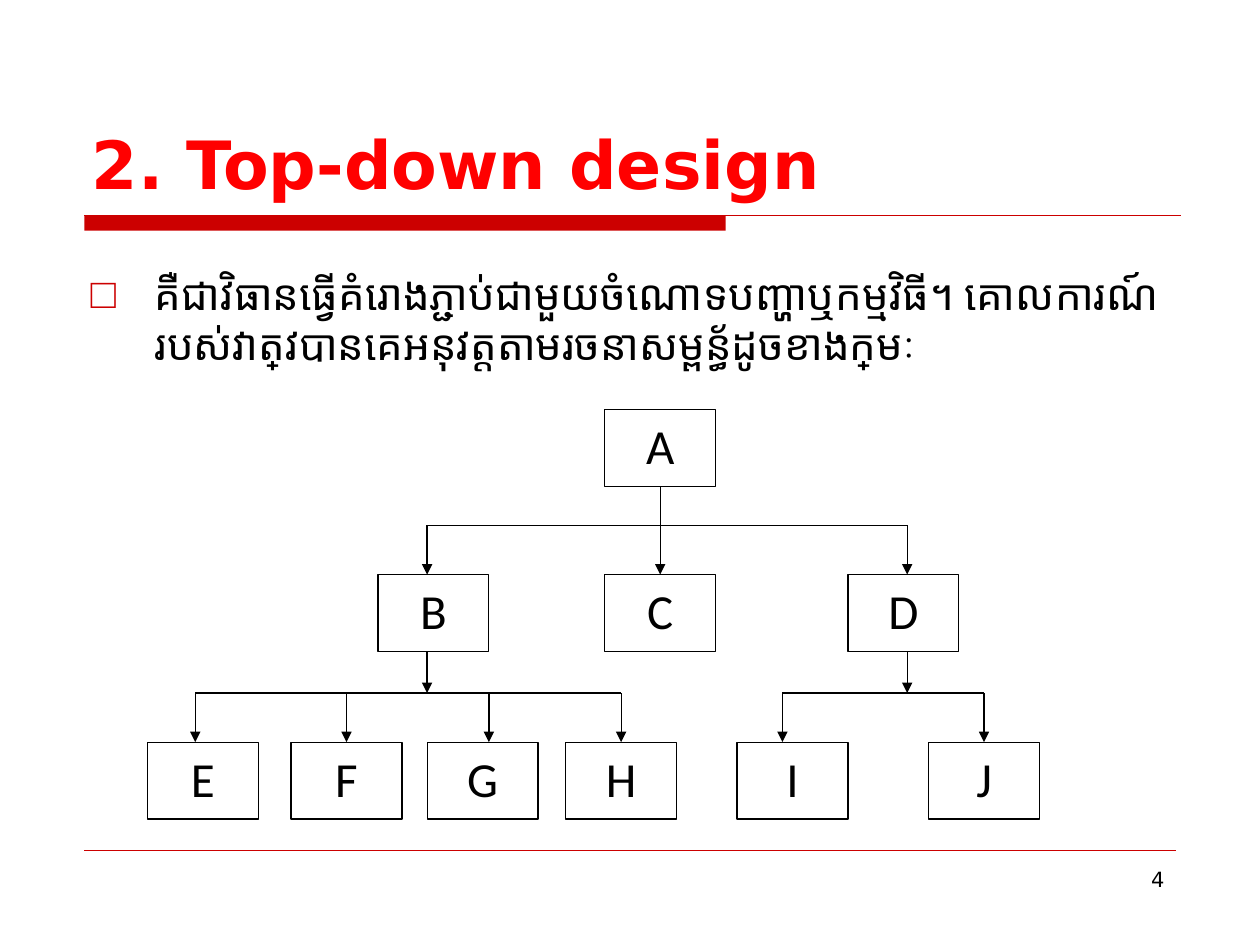
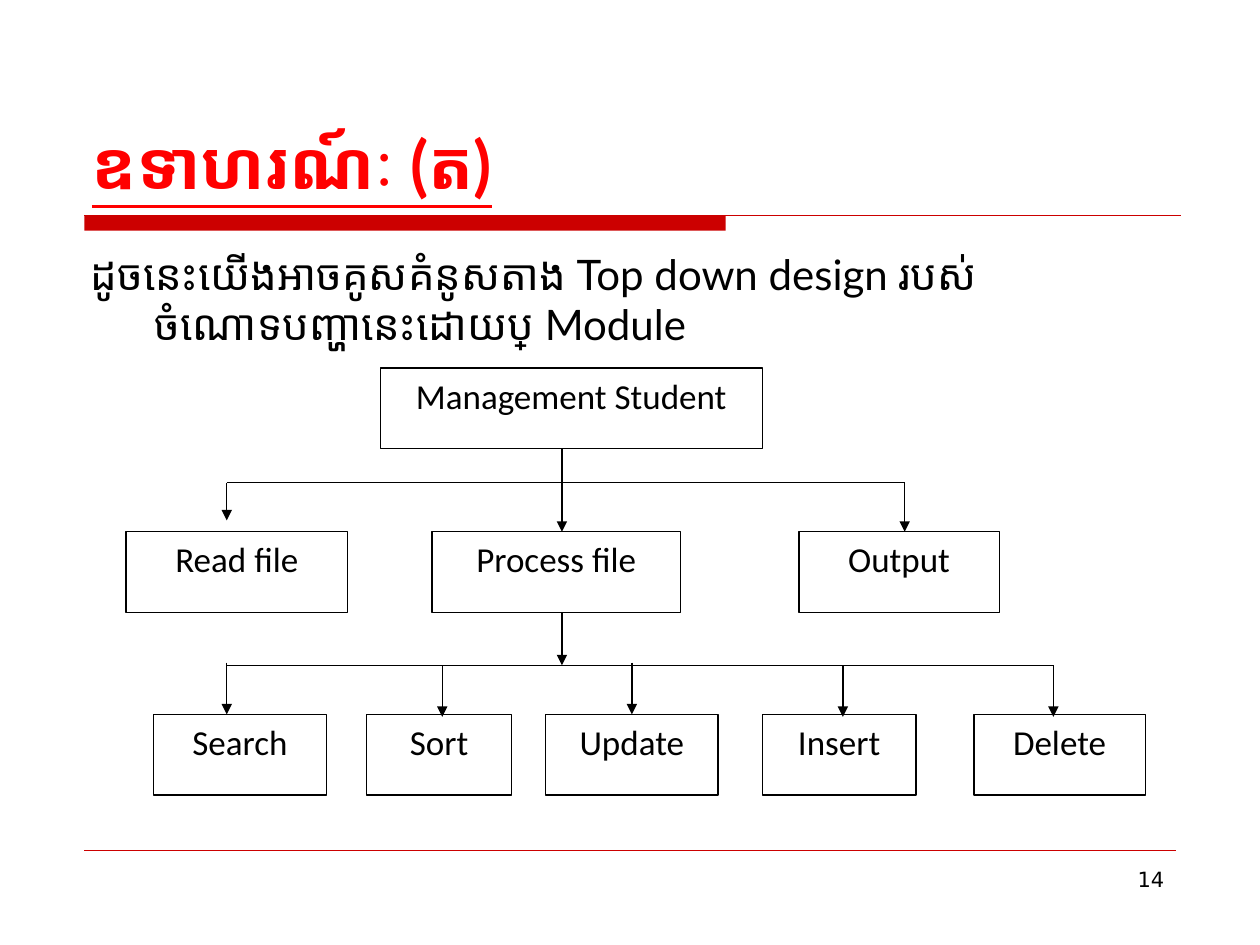
from lxml.etree import SubElement
from pptx import Presentation
from pptx.dml.color import RGBColor
from pptx.enum.shapes import MSO_CONNECTOR, MSO_SHAPE
from pptx.enum.text import MSO_ANCHOR, MSO_AUTO_SIZE, PP_ALIGN
from pptx.oxml.ns import qn
from pptx.util import Inches, Pt

BLACK, WHITE, TITLE_RED, BAND_RED = "000000", "FFFFFF", "FF0000", "CC0000"
HANGING_INDENT = 0.51
SNAP_DISTANCE = 0.022

SLIDES = [
    {
        "title": "2. Top-down design",
        "title_format": {"font": "DejaVu Sans"},
        "body": "គឺជាវិធានធ្វើគំរោងភ្ជាប់ជាមួយចំណោទបញ្ហាឬកម្មវិធី។ "
                "គោលការណ៍របស់វាត្រូវបានគេអនុវត្តតាមរចនាសម្ពន្ធ័ដូចខាងក្រោមៈ",
        "body_area": (0.62, 2.08, 8.75, 4.5),
        "bullet": "□",
        "number": "4",
        "box_height": 0.61,
        "box_size": 28,
        "levels": [
            (3.25, [("A", 4.8, 0.88)]),
            (4.56, [("B", 3, 0.88), ("C", 4.8, 0.88), ("D", 6.73, 0.88)]),
            (5.89, [("E", 1.17, 0.88), ("F", 2.31, 0.88), ("G", 3.39, 0.88),
                    ("H", 4.49, 0.88), ("I", 5.85, 0.88), ("J", 7.37, 0.88)]),
        ],
        "branches": [
            ("A", 5.22, 4.17, [("B", 3.39), ("C", 5.22), ("D", 7.2)]),
            ("B", 3.39, 5.5, [("E", 1.55), ("F", 2.76), ("G", 3.88), ("H", 4.95)]),
            ("D", 7.2, 5.5, [("I", 6.21), ("J", 7.83)]),
        ],
    },
    {
        "title": "ឧទាហរណ៍ៈ (ត)",
        "title_format": {"font": "Lato", "underline": True},
        "body": "ដូចនេះយើងអាចគូសគំនូសតាង Top down design "
                "របស់ចំណោទបញ្ហានេះដោយប្រើ Module",
        "body_area": (0.62, 1.92, 8.75, 4.67),
        "bullet": None,
        "number": "14",
        "box_height": 0.64,
        "box_size": 20,
        "levels": [
            (2.92, [("Management Student", 3.02, 3.03)]),
            (4.22, [("Read file", 1, 1.76), ("Process file", 3.43, 1.97),
                    ("Output", 6.34, 1.59)]),
            (5.67, [("Search", 1.22, 1.37), ("Sort", 2.91, 1.15),
                    ("Update", 4.33, 1.37), ("Insert", 6.05, 1.22),
                    ("Delete", 7.73, 1.36)]),
        ],
        "branches": [
            ("Management Student", 4.46, 3.83,
             [("Read file", 1.8, 0, -0.09), ("Process file", 4.46), ("Output", 7.18)]),
            ("Process file", 4.46, 5.28,
             [("Search", 1.8, -0.02), ("Sort", 3.51, 0, 0.02), ("Update", 5, -0.02),
              ("Insert", 6.69, 0, 0.02), ("Delete", 8.36, 0, 0.02)]),
        ],
    },
]


def color(value):
    return RGBColor.from_string(value)


def write_text(shape, text, font="Calibri", size=20, ink=BLACK, bold=False,
               underline=False, align=PP_ALIGN.LEFT, anchor=MSO_ANCHOR.TOP,
               before=0, after=0):
    frame = shape.text_frame
    frame.word_wrap = True
    frame.auto_size = MSO_AUTO_SIZE.NONE
    frame.vertical_anchor = anchor
    paragraph = frame.paragraphs[0]
    paragraph.alignment = align
    paragraph.space_before, paragraph.space_after = Pt(before), Pt(after)
    run = paragraph.add_run()
    run.text = text
    run.font.name, run.font.size = font, Pt(size)
    run.font.bold, run.font.underline = bold, underline
    run.font.color.rgb = color(ink)
    SubElement(run.font._element, qn("a:cs"), typeface=font)
    return paragraph


def place(shape, area):
    shape.left, shape.top, shape.width, shape.height = map(Inches, area)


def add_rectangle(slide, area, fill, outline=None):
    shape = slide.shapes.add_shape(MSO_SHAPE.RECTANGLE, *map(Inches, area))
    shape.shadow.inherit = False
    shape.fill.solid()
    shape.fill.fore_color.rgb = color(fill)
    if outline:
        shape.line.color.rgb = color(outline)
        shape.line.width = Pt(0.75)
    else:
        shape.line.fill.background()
    return shape


def add_line(slide, start, end, ink=BLACK, width=0.75, arrow=False):
    connector = slide.shapes.add_connector(
        MSO_CONNECTOR.STRAIGHT, *map(Inches, (*start, *end)))
    connector.line.color.rgb = color(ink)
    connector.line.width = Pt(width)
    properties = connector._element.spPr
    if arrow:
        SubElement(properties.find(qn("a:ln")), qn("a:tailEnd"), type="triangle")
    SubElement(properties, qn("a:effectLst"))
    return connector


def set_bullet(paragraph, bullet):
    properties = paragraph._p.get_or_add_pPr()
    properties.set("marL", str(Inches(HANGING_INDENT)))
    properties.set("indent", str(-Inches(HANGING_INDENT)))
    if bullet:
        bullet_color = SubElement(properties, qn("a:buClr"))
        SubElement(bullet_color, qn("a:srgbClr"), val=BAND_RED)
        SubElement(properties, qn("a:buChar"), char=bullet)
    else:
        SubElement(properties, qn("a:buNone"))


def add_frame(slide, content):
    add_rectangle(slide, (0.67, 1.71, 5.09, 0.12), BAND_RED)
    add_line(slide, (0.67, 1.71), (9.37, 1.71), BAND_RED)
    add_line(slide, (0.67, 6.75), (9.33, 6.75), BAND_RED, 0.25)

    title = slide.shapes.title
    place(title, (0.63, 0.33, 8.75, 1.33))
    write_text(title, content["title"], size=38, ink=TITLE_RED, bold=True,
               anchor=MSO_ANCHOR.BOTTOM, **content["title_format"])

    body = slide.placeholders[1]
    place(body, content["body_area"])
    paragraph = write_text(body, content["body"], font="Lato", size=24, before=6)
    set_bullet(paragraph, content["bullet"])

    number = slide.shapes.add_textbox(*map(Inches, (7.17, 6.83, 2.17, 0.52)))
    write_text(number, content["number"], font="DejaVu Sans", size=12,
               align=PP_ALIGN.RIGHT)


def snap(x, box):
    center = (box.left + box.width / 2) / Inches(1)
    return (center, True) if abs(x - center) <= SNAP_DISTANCE else (x, False)


def add_branch(slide, boxes, parent_name, stem_x, bus_y, children):
    parent = boxes[parent_name]
    stem_x, stem_centered = snap(stem_x, parent)
    parent_bottom = (parent.top + parent.height) / Inches(1)
    stem_passes_bus = False
    drop_positions = []
    for name, x, start_shift, end_shift in ((*child, 0, 0)[:4] for child in children):
        child = boxes[name]
        x, centered = snap(x, child)
        drop_positions.append(x)
        from_parent = abs(x - stem_x) < 0.01
        stem_passes_bus |= from_parent
        start_y = parent_bottom if from_parent else bus_y + start_shift
        end_y = child.top / Inches(1) + end_shift
        drop = add_line(slide, (x, start_y), (x, end_y), arrow=True)
        if from_parent and stem_centered:
            drop.begin_connect(parent, 2)
        if centered and not end_shift:
            drop.end_connect(child, 0)
    add_line(slide, (min(drop_positions), bus_y), (max(drop_positions), bus_y))
    if not stem_passes_bus:
        stem = add_line(slide, (stem_x, parent_bottom), (stem_x, bus_y), arrow=True)
        if stem_centered:
            stem.begin_connect(parent, 2)


def add_tree(slide, content):
    boxes = {}
    for top, level in content["levels"]:
        for name, left, width in level:
            area = (left, top, width, content["box_height"])
            boxes[name] = add_rectangle(slide, area, WHITE, BLACK)
            write_text(boxes[name], name, size=content["box_size"],
                       align=PP_ALIGN.CENTER, after=10)
    for branch in content["branches"]:
        add_branch(slide, boxes, *branch)


def main():
    presentation = Presentation()
    presentation.slide_width, presentation.slide_height = Inches(10), Inches(7.5)
    for content in SLIDES:
        slide = presentation.slides.add_slide(presentation.slide_layouts[1])
        add_frame(slide, content)
        add_tree(slide, content)
    presentation.save("out.pptx")


if __name__ == "__main__":
    main()
